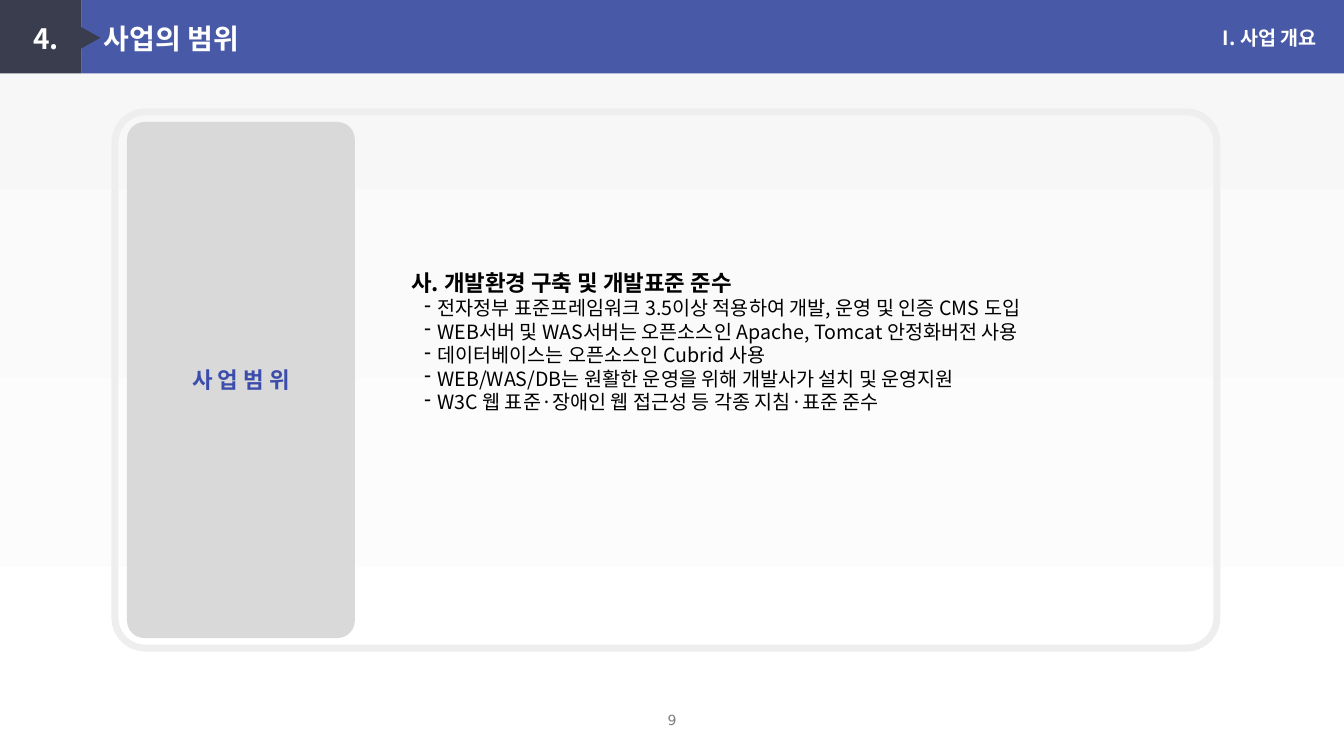
from dataclasses import dataclass

from lxml import etree
from pptx import Presentation
from pptx.dml.color import RGBColor
from pptx.enum import shapes, text
from pptx.oxml import ns
from pptx.util import Inches, Pt

SHAPE = shapes.MSO_SHAPE
ALIGN = text.PP_ALIGN
ANCHOR = text.MSO_ANCHOR


@dataclass(frozen=True)
class Theme:
    sans: str = "Noto Sans CJK KR"
    latin: str = "DejaVu Sans"
    blue: str = "485AA7"
    dark: str = "3A3D4E"
    frame: str = "EEEEEE"
    grey: str = "D9D9D9"
    label: str = "3B4CAB"
    muted: str = "7F7F7F"
    white: str = "FFFFFF"
    black: str = "000000"
    mist: str = "F7F7F7"
    title: int = 20
    head: int = 16
    body: int = 14
    small: int = 10


T = Theme()
SCOPE = [
    "전자정부 표준프레임워크 3.5이상 적용하여 개발, 운영 및 인증 CMS 도입",
    "WEB서버 및 WAS서버는 오픈소스인 Apache, Tomcat 안정화버전 사용",
    "데이터베이스는 오픈소스인 Cubrid 사용",
    "WEB/WAS/DB는 원활한 운영을 위해 개발사가 설치 및 운영지원",
    "W3C 웹 표준·장애인 웹 접근성 등 각종 지침·표준 준수",
]


def rgb(code):
    return RGBColor.from_string(code)


def style(para, size, color, bold=True, align=ALIGN.LEFT, face=T.sans):
    """Set one look, Latin and East Asian, for a whole paragraph."""
    para.alignment = align
    font = para.font
    font.size, font.bold, font.name = Pt(size), bold, face
    font.color.rgb = rgb(color)
    props = para._p.pPr.find(ns.qn("a:defRPr"))
    etree.SubElement(props, ns.qn("a:ea"), typeface=face)


def dash(para):
    """Give a paragraph a hanging dash."""
    props = para._p.get_or_add_pPr()
    props.set("marL", str(Inches(0.26)))
    props.set("indent", str(-Inches(0.13)))
    etree.SubElement(props, ns.qn("a:buChar"), char="-")


def block(slide, kind, box, fill=None, line=None):
    shape = slide.shapes.add_shape(kind, *map(Inches, box))
    shape.shadow.inherit = False
    if fill:
        shape.fill.solid()
        shape.fill.fore_color.rgb = rgb(fill)
    else:
        shape.fill.background()
    if line:
        shape.line.color.rgb = rgb(line)
        shape.line.width = Pt(5)
    else:
        shape.line.fill.background()
    return shape


def label(slide, box, words, size, color, **look):
    frame = slide.shapes.add_textbox(*map(Inches, box)).text_frame
    frame.word_wrap = True
    frame.text = words
    style(frame.paragraphs[0], size, color, **look)
    return frame


def header(slide, box, number, name, part):
    x, y, w, h = box
    tab = 0.81
    block(slide, SHAPE.RECTANGLE, (x + tab, y, w - tab, h), T.blue)
    block(slide, SHAPE.RECTANGLE, (x, y, tab, h), T.dark)
    arrow = block(slide, SHAPE.ISOSCELES_TRIANGLE,
                  (x + 0.73, y + 0.25, 0.28, 0.25), T.dark)
    arrow.rotation = 90
    label(slide, (x + w - 2.57, y + 0.21, 2.4, 0.34), part,
          T.body, T.white, align=ALIGN.RIGHT)

    title = slide.shapes.title
    title.left, title.top = Inches(x + 0.23), Inches(y + 0.16)
    title.width, title.height = Inches(2.63), Inches(0.43)
    slide.shapes._spTree.append(title._element)  # in front of the bar
    frame = title.text_frame
    frame.auto_size = text.MSO_AUTO_SIZE.NONE
    frame.vertical_anchor = ANCHOR.TOP
    frame.text = f"{number}\t{name}"
    para = frame.paragraphs[0]
    stops = etree.SubElement(para._p.get_or_add_pPr(), ns.qn("a:tabLst"))
    etree.SubElement(stops, ns.qn("a:tab"), pos=str(Inches(0.7)), algn="l")
    style(para, T.title, T.white)


def panel(slide, box, name, head, items):
    x, y, w, h = box
    outer = block(slide, SHAPE.ROUNDED_RECTANGLE, box, line=T.frame)
    outer.adjustments[0] = 0.057
    side = block(slide, SHAPE.ROUNDED_RECTANGLE,
                 (x + 0.12, y + 0.1, 2.26, h - 0.2), T.grey)
    side.adjustments[0] = 0.076
    side.text_frame.text = name
    side.text_frame.vertical_anchor = ANCHOR.MIDDLE
    style(side.text_frame.paragraphs[0], T.head, T.label, align=ALIGN.CENTER)

    frame = label(slide, (x + 2.84, y + 1.51, 7.41, 1.78), head,
                  T.head, T.black)
    for item in items:
        para = frame.add_paragraph()
        para.text = item
        dash(para)
        style(para, T.body, T.black, bold=False)


def footer(slide, box, number):
    frame = label(slide, box, number, T.small, T.muted, bold=False,
                  align=ALIGN.CENTER, face=T.latin)
    frame.vertical_anchor = ANCHOR.MIDDLE


def backdrop(slide):
    fill = slide.background.fill
    fill.gradient()
    fill.gradient_angle = 270
    for stop, color in zip(fill.gradient_stops, (T.mist, T.white)):
        stop.color.rgb = rgb(color)


def main():
    deck = Presentation()
    deck.slide_width, deck.slide_height = Inches(13.33), Inches(7.5)
    slide = deck.slides.add_slide(deck.slide_layouts.get_by_name("Title Only"))
    backdrop(slide)
    footer(slide, (0, 7.01, 13.33, 0.27), "9")
    panel(slide, (1.14, 1.11, 10.93, 5.32), "사 업 범 위",
          "사. 개발환경 구축 및 개발표준 준수", SCOPE)
    header(slide, (0, 0, 13.33, 0.73), "4.", "사업의 범위", "I. 사업 개요")
    deck.save("out.pptx")


if __name__ == "__main__":
    main()
